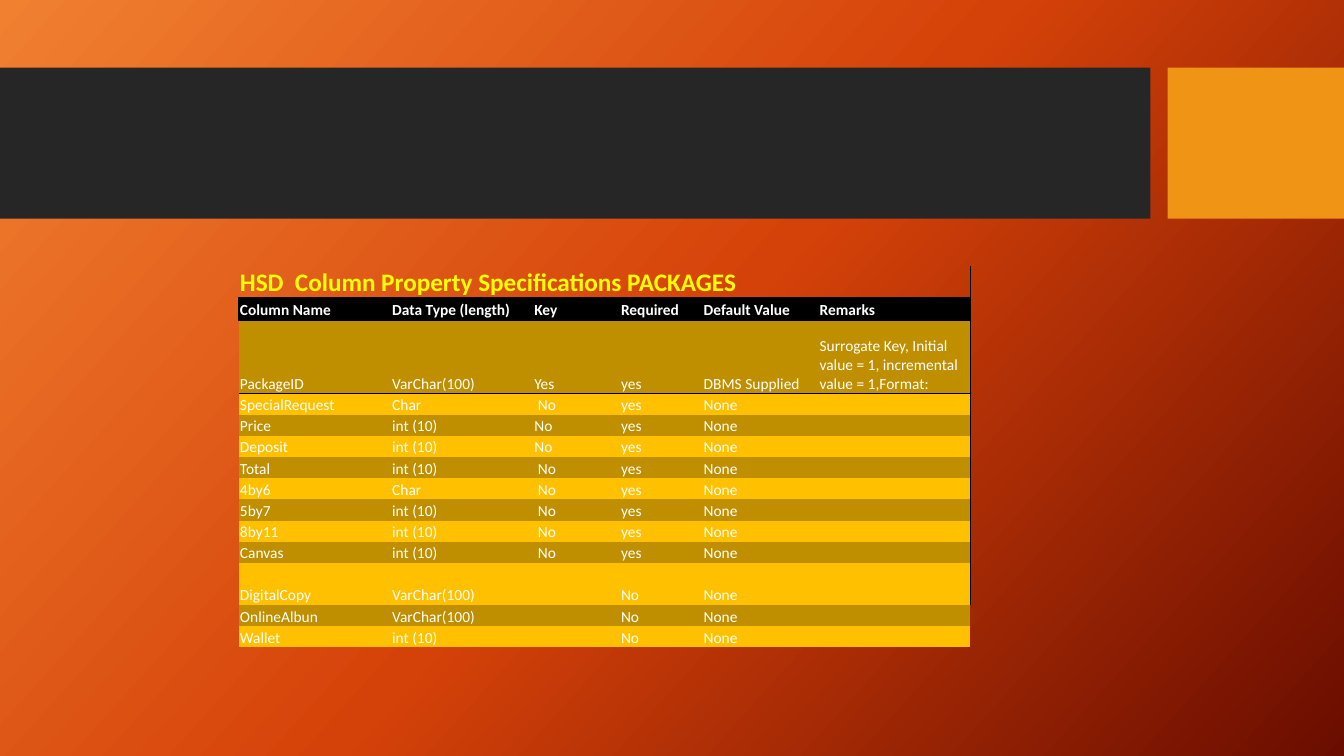
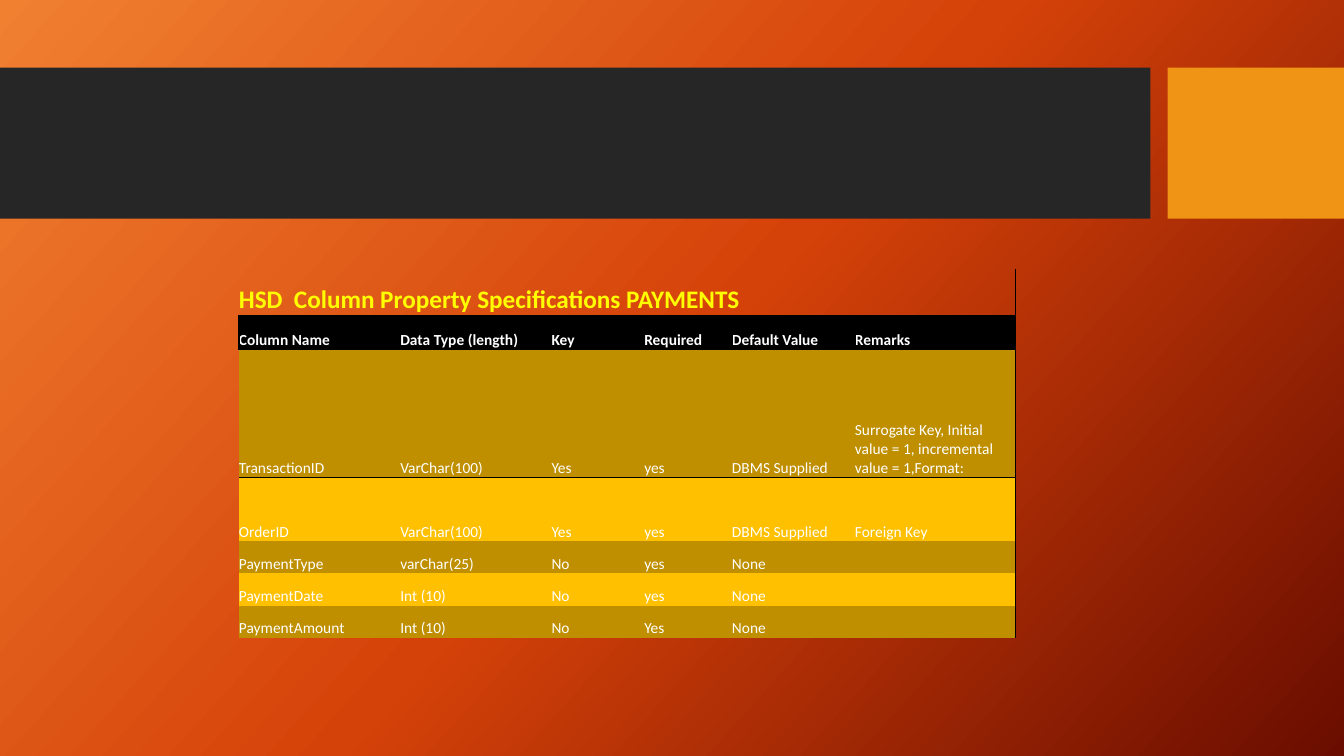
"""Build two slides of column property specifications for the HSD database."""
from copy import deepcopy
from dataclasses import dataclass

from lxml.etree import SubElement
from pptx import Presentation
from pptx.dml.color import RGBColor as RGB
from pptx.enum.shapes import MSO_SHAPE as SHAPE
from pptx.enum.text import MSO_ANCHOR as ANCHOR
from pptx.oxml.ns import qn
from pptx.util import Inches, Pt


@dataclass(frozen=True)
class Theme:
    font: str = "Calibri"
    title_size: int = 18
    body_size: int = 11
    title: str = "FFFF00"
    text: str = "FFFFFF"
    line: str = "000000"
    header: str = "000000"
    stripes: tuple = ("BF8F00", "FFC000")
    band: str = "262626"
    accent: str = "F09415"
    glow: tuple = ((0, "F18031"), (0.5, "D54209"), (1, "6A0D00"))
    glow_angle: int = 318
    plain_table: str = "{2D5ABB26-0587-4C30-8999-92F81FD0307C}"


theme = Theme()


def draw_borders(cell, widths):
    props = cell._tc.get_or_add_tcPr()
    for side in "LRTB":
        if side in widths:
            line = SubElement(props, qn(f"a:ln{side}"), w=str(Pt(widths[side])))
            SubElement(SubElement(line, qn("a:solidFill")), qn("a:srgbClr"), val=theme.line)


def write_cell(cell, text, size, color, bold):
    paragraph = cell.text_frame.paragraphs[0]
    if text:
        run = paragraph.add_run()
        run.text = text
        run.font.color.rgb = RGB.from_string(color)
        for name, value in {"name": theme.font, "size": Pt(size), "bold": bold}.items():
            setattr(run.font, name, value)
    else:
        SubElement(paragraph._p, qn("a:endParaRPr"), sz=str(size * 100))


bands = [(0, 11.41, theme.band), (11.58, 1.75, theme.accent)]
headings = "Column Name|Data Type (length)|Key|Required|Default Value|Remarks"
surrogate = "Surrogate Key, Initial value = 1, incremental value = 1,Format: "
specifications = [
    {
        "title": "HSD  Column Property Specifications PACKAGES",
        "top": 2.64,
        "inset": 0.01,
        "columns": [1.51, 1.41, 0.86, 0.82, 1.15, 1.5],
        "heights": [0.31, 0.22, 0.73] + [0.21] * 8 + [0.42, 0.21, 0.21],
        "ruled_rows": 12,
        "fields": [
            f"PackageID|VarChar(100)|Yes|yes|DBMS Supplied|{surrogate}",
            "SpecialRequest|Char| No|yes|None|",
            "Price|int (10)|No|yes|None|",
            "Deposit|int (10)|No|yes|None|",
            "Total|int (10)| No|yes|None|",
            "4by6|Char| No|yes|None|",
            "5by7|int (10)| No|yes|None|",
            "8by11|int (10)| No|yes|None|",
            "Canvas|int (10)| No|yes|None|",
            "DigitalCopy|VarChar(100)||No|None|",
            "OnlineAlbun|VarChar(100)||No|None|",
            "Wallet|int (10)||No|None|",
        ],
    },
    {
        "title": "HSD  Column Property Specifications PAYMENTS",
        "top": 2.67,
        "inset": 0,
        "columns": [1.6, 1.5, 0.92, 0.87, 1.22, 1.59],
        "heights": [0.46, 0.34, 1.27, 0.63, 0.32, 0.32, 0.32],
        "ruled_rows": 7,
        "fields": [
            f"TransactionID|VarChar(100)|Yes|yes|DBMS Supplied|{surrogate}",
            "OrderID|VarChar(100)|Yes|yes|DBMS Supplied|Foreign Key",
            "PaymentType|varChar(25)|No|yes|None|",
            "PaymentDate|Int (10)|No|yes|None|",
            "PaymentAmount|Int (10)|No|Yes|None|",
        ],
    },
]

deck = Presentation()
deck.slide_width, deck.slide_height = Inches(13.33), Inches(7.5)

for spec in specifications:
    slide = deck.slides.add_slide(deck.slide_layouts[6])
    glow = slide.background.fill
    glow.gradient()
    glow.gradient_angle = theme.glow_angle
    stops = slide._element.find(f".//{qn('a:gsLst')}")
    stops.append(deepcopy(stops[0]))
    for stop, (position, color) in zip(glow.gradient_stops, theme.glow):
        stop.position = position
        stop.color.rgb = RGB.from_string(color)

    for left, width, color in bands:
        band = slide.shapes.add_shape(
            SHAPE.RECTANGLE, Inches(left), Inches(0.67), Inches(width), Inches(1.5))
        band.shadow.inherit = False
        band.fill.solid()
        band.fill.fore_color.rgb = RGB.from_string(color)
        band.line.fill.background()

    columns, heights = spec["columns"], spec["heights"]
    last = len(columns) - 1
    grid = slide.shapes.add_table(
        len(heights), len(columns), Inches(2.37), Inches(spec["top"]),
        Inches(sum(columns)), Inches(sum(heights))).table
    grid.first_row = grid.horz_banding = False
    grid._tbl.tblPr.find(qn("a:tableStyleId")).text = theme.plain_table
    for column, width in zip(grid.columns, columns):
        column.width = Inches(width)
    for row, height in zip(grid.rows, heights):
        row.height = Inches(height)
    grid.cell(0, 0).merge(grid.cell(0, last))

    inset = Inches(spec["inset"])
    layout = {"margin_left": inset, "margin_right": inset, "margin_top": inset,
              "margin_bottom": 0, "vertical_anchor": ANCHOR.BOTTOM}
    lines = [spec["title"] + "|" * last, headings] + spec["fields"]
    for r, line in enumerate(lines):
        for c, text in enumerate(line.split("|")):
            cell = grid.cell(r, c)
            for name, value in layout.items():
                setattr(cell, name, value)
            if r == 0:
                size, color, bold, fill = theme.title_size, theme.title, True, None
                borders = {"R": 0.5, "B": 1} if c in (0, last) else {"B": 1}
            elif r == 1:
                size, color, bold, fill = theme.body_size, theme.text, True, theme.header
                borders = {"L": 0.5 if c else 1, "R": 0.5, "T": 1, "B": 1}
            else:
                size, color, bold, fill = theme.body_size, theme.text, False, theme.stripes[r % 2]
                borders = {"T": 1} if r == 2 else {}
                if c == last and r < spec["ruled_rows"]:
                    borders["R"] = 0.5
            write_cell(cell, text, size, color, bold)
            draw_borders(cell, borders)
            if fill:
                cell.fill.solid()
                cell.fill.fore_color.rgb = RGB.from_string(fill)
            else:
                cell.fill.background()

deck.save("out.pptx")
